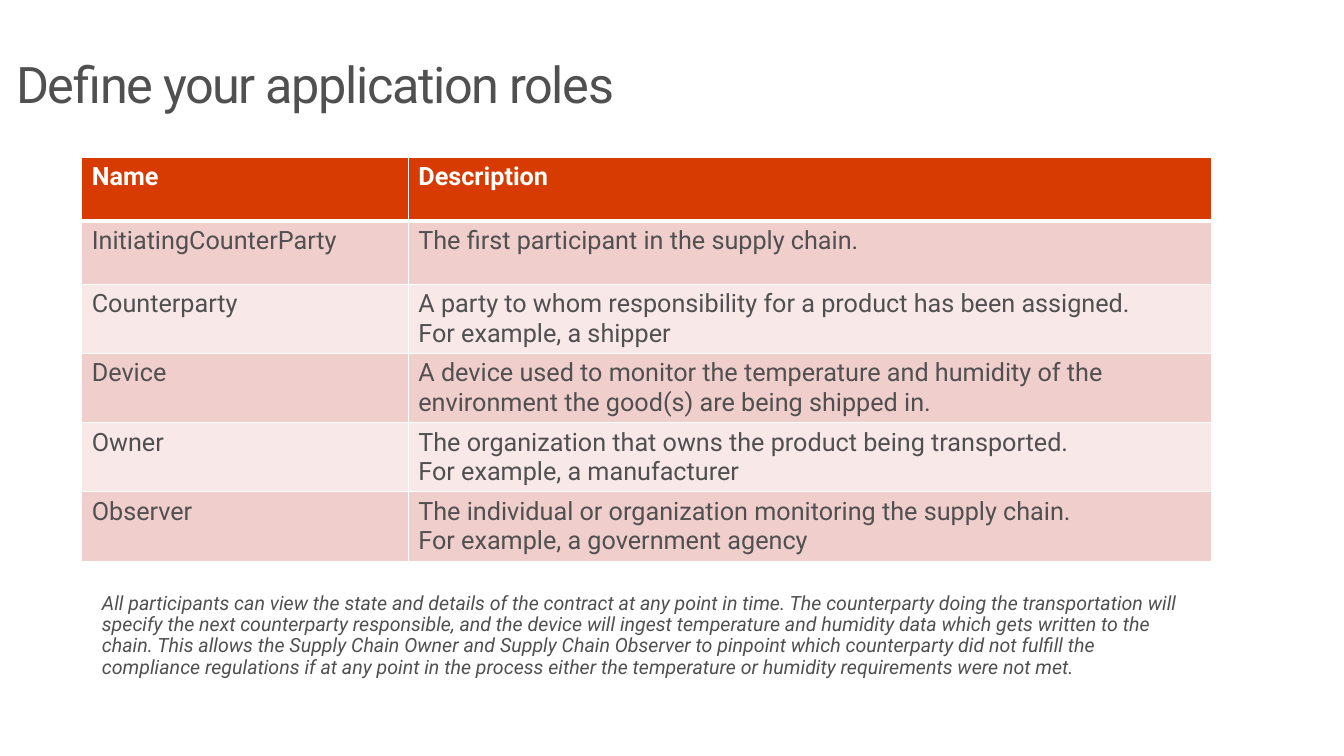
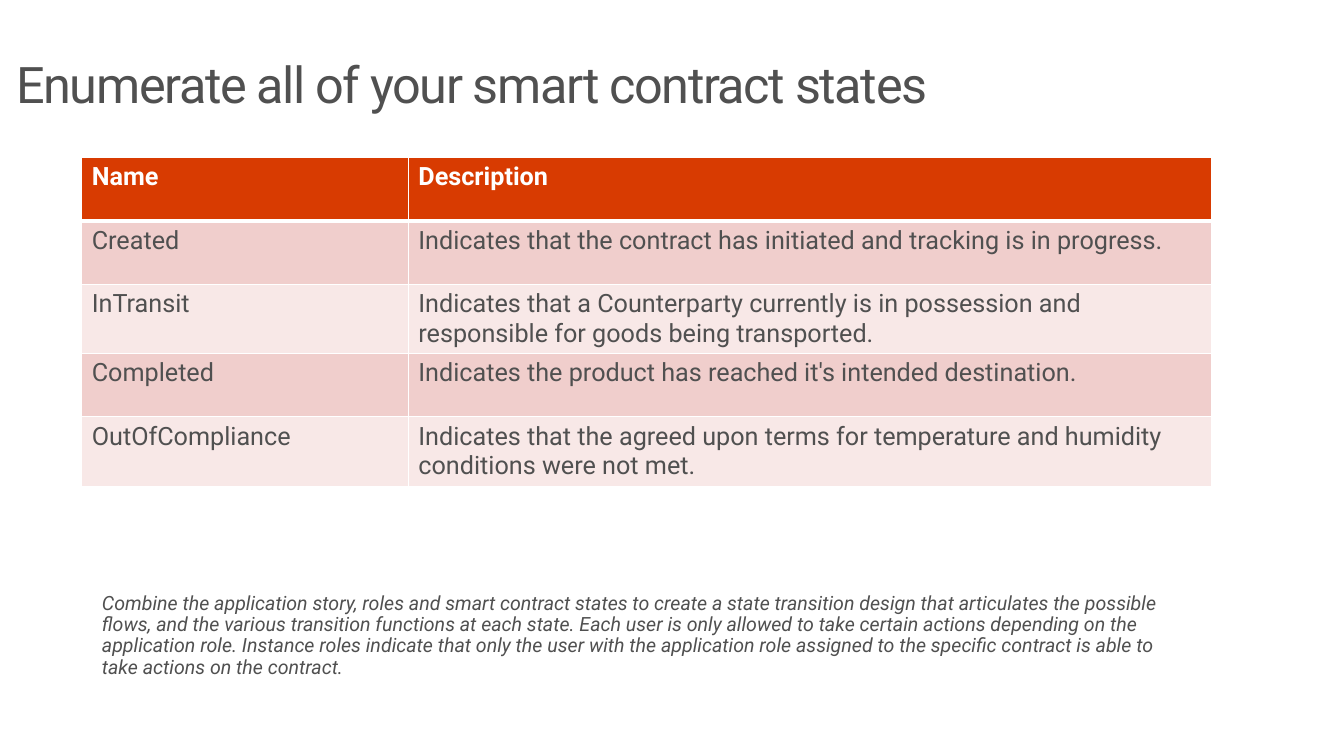
import pptx
import pptx.dml.color
import pptx.enum.text
import pptx.oxml
import pptx.oxml.ns
import pptx.util
from pptx.util import Cm

FONT = "Roboto"
INK, WHITE, ORANGE = "505050", "FFFFFF", "D83B01"
BANDS = ("F0CECC", "F8E8E7")

SLIDE_WIDTH, SLIDE_HEIGHT = 33.87, 19.05
LEFT = 2.06
COLUMN_WIDTHS = (8.23, 20.24)
CONTENT_WIDTH = sum(COLUMN_WIDTHS)
TABLE_TOP, ROW_HEIGHT = 3.96, 1.6
NOTE_TOP, NOTE_HEIGHT = 14.55, 2.97

HEADER = ("Name", "Description")
SLIDES = [
    {
        "title": "Define your application roles",
        "rows": [
            ("InitiatingCounterParty", "The first participant in the supply chain."),
            ("Counterparty",
             "A party to whom responsibility for a product has been assigned.\n"
             "For example, a shipper"),
            ("Device",
             "A device used to monitor the temperature and humidity of the "
             "environment the good(s) are being shipped in."),
            ("Owner",
             "The organization that owns the product being transported.\n"
             "For example, a manufacturer"),
            ("Observer",
             "The individual or organization monitoring the supply chain.\n"
             "For example, a government agency"),
        ],
        "note": "All participants can view the state and details of the contract at any "
                "point in time. The counterparty doing the transportation will specify the "
                "next counterparty responsible, and the device will ingest temperature and "
                "humidity data which gets written to the chain. This allows the Supply Chain "
                "Owner and Supply Chain Observer to pinpoint which counterparty did not "
                "fulfill the compliance regulations if at any point in the process either "
                "the temperature or humidity requirements were not met.",
    },
    {
        "title": "Enumerate all of your smart contract states",
        "rows": [
            ("Created",
             "Indicates that the contract has initiated and tracking is in progress."),
            ("InTransit",
             "Indicates that a Counterparty currently is in possession and responsible "
             "for goods being transported."),
            ("Completed", "Indicates the product has reached it's intended destination."),
            ("OutOfCompliance",
             "Indicates that the agreed upon terms for temperature and humidity "
             "conditions were not met."),
        ],
        "note": "Combine the application story, roles and smart contract states to create a "
                "state transition design that articulates the possible flows, and the "
                "various transition functions at each state. Each user is only allowed to "
                "take certain actions depending on the application role. Instance roles "
                "indicate that only the user with the application role assigned to the "
                "specific contract is able to take actions on the contract.",
    },
]


def rgb(color):
    return pptx.dml.color.RGBColor.from_string(color)


def write(frame, text, size, color=INK, bold=False, italic=False, line_spacing=None):
    frame.text = text
    for paragraph in frame.paragraphs:
        paragraph.alignment = pptx.enum.text.PP_ALIGN.LEFT
        paragraph.line_spacing = line_spacing
        font = paragraph.font
        font.name, font.size = FONT, pptx.util.Pt(size)
        font.bold, font.italic = bold, italic
        font.color.rgb = rgb(color)


def set_insets(frame, horizontal, vertical):
    frame.margin_left = frame.margin_right = Cm(horizontal)
    frame.margin_top = frame.margin_bottom = Cm(vertical)
    frame.vertical_anchor = pptx.enum.text.MSO_ANCHOR.TOP
    frame.word_wrap = True


def add_borders(cell, bottom):
    """Draw white cell borders; widths are in points."""
    properties = cell._tc.get_or_add_tcPr()
    for side, width in (("L", 1), ("R", 1), ("T", 1), ("B", bottom)):
        properties.append(pptx.oxml.parse_xml(
            f'<a:ln{side} {pptx.oxml.ns.nsdecls("a")} w="{pptx.util.Pt(width)}">'
            f'<a:solidFill><a:srgbClr val="{WHITE}"/></a:solidFill></a:ln{side}>'))


def set_title(slide, text):
    title = slide.shapes.title
    title.left, title.top = Cm(0), Cm(1.27)
    title.width, title.height = Cm(SLIDE_WIDTH), Cm(4.62)
    frame = title.text_frame
    set_insets(frame, 0.41, 0.25)
    frame.auto_size = pptx.enum.text.MSO_AUTO_SIZE.NONE
    write(frame, text, 36, line_spacing=0.9)
    run = frame.paragraphs[0].runs[0]
    run.font._element.set("spc", "-100")


def add_definitions(slide, rows):
    rows = [HEADER, *rows]
    table = slide.shapes.add_table(
        len(rows), len(HEADER), Cm(LEFT), Cm(TABLE_TOP),
        Cm(CONTENT_WIDTH), Cm(ROW_HEIGHT * len(rows))).table
    for column, width in zip(table.columns, COLUMN_WIDTHS):
        column.width = Cm(width)
    for r, row in enumerate(rows):
        is_header = r == 0
        table.rows[r].height = Cm(ROW_HEIGHT)
        for c, text in enumerate(row):
            cell = table.cell(r, c)
            add_borders(cell, bottom=3 if is_header else 1)
            cell.fill.solid()
            cell.fill.fore_color.rgb = rgb(ORANGE if is_header else BANDS[(r - 1) % 2])
            write(cell.text_frame, text, 18, WHITE if is_header else INK, bold=is_header)


def add_note(slide, text):
    frame = slide.shapes.add_textbox(
        Cm(LEFT), Cm(NOTE_TOP), Cm(CONTENT_WIDTH), Cm(NOTE_HEIGHT)).text_frame
    set_insets(frame, 0.51, 0.41)
    write(frame, text, 14, italic=True, line_spacing=0.9)
    frame.paragraphs[0].space_after = pptx.util.Pt(6)


def main():
    deck = pptx.Presentation()
    deck.slide_width, deck.slide_height = Cm(SLIDE_WIDTH), Cm(SLIDE_HEIGHT)
    title_only = deck.slide_layouts[5]
    for content in SLIDES:
        slide = deck.slides.add_slide(title_only)
        set_title(slide, content["title"])
        add_definitions(slide, content["rows"])
        add_note(slide, content["note"])
    deck.save("out.pptx")


if __name__ == "__main__":
    main()
